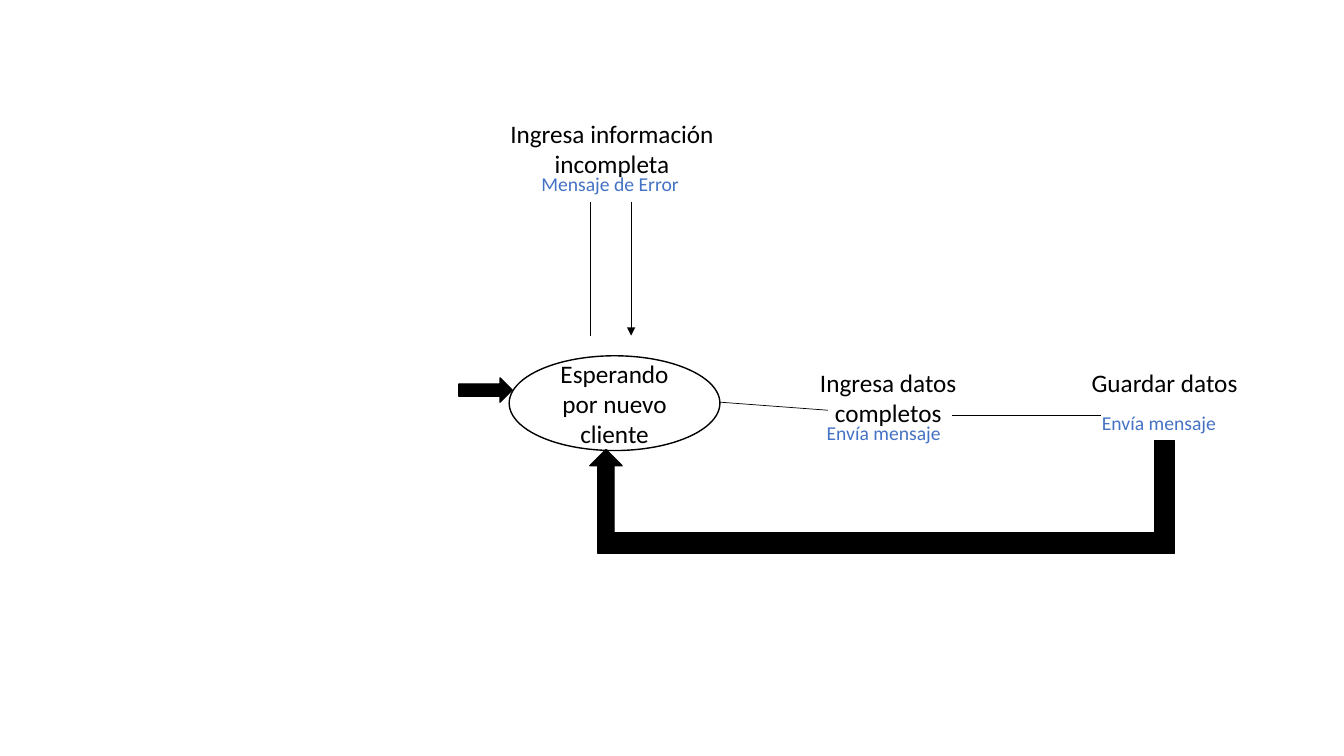
from lxml.etree import SubElement
from pptx import Presentation
from pptx.dml.color import RGBColor
from pptx.enum.shapes import MSO_CONNECTOR, MSO_SHAPE
from pptx.enum.text import MSO_ANCHOR, MSO_AUTO_SIZE, PP_ALIGN
from pptx.oxml.ns import qn
from pptx.util import Emu, Pt

SCALE = 9144  # EMU per px, 100 px to the inch
FONT = "Calibri"
COLORS = {"ink": "000000", "paper": "FFFFFF", "note": "4472C4"}


def px(*values):
    return [Emu(value * SCALE) for value in values]


def color(name):
    return RGBColor.from_string(COLORS[name])


class Diagram:
    def __init__(self, slide):
        self.slide = slide

    def fill_text(self, shape, text, size, tint, align):
        frame = shape.text_frame
        frame.text = text
        para = frame.paragraphs[0]
        para.alignment = align
        font = para.runs[0].font
        font.name, font.size = FONT, Pt(size)
        font.color.rgb = color(tint)

    def shape(self, kind, *box, fill="ink"):
        shape = self.slide.shapes.add_shape(kind, *px(*box))
        shape.shadow.inherit = False
        shape.fill.solid()
        shape.fill.fore_color.rgb = color(fill)
        shape.line.color.rgb = color("ink")
        shape.line.width = Pt(1)
        return shape

    def state(self, text, *box):
        oval = self.shape(MSO_SHAPE.OVAL, *box, fill="paper")
        oval.text_frame.word_wrap = True
        oval.text_frame.vertical_anchor = MSO_ANCHOR.MIDDLE
        self.fill_text(oval, text, 18, "ink", PP_ALIGN.CENTER)

    def label(self, text, *box, note=False):
        """Add a wrapped, centred step name, or a one-line note."""
        label = self.slide.shapes.add_textbox(*px(*box))
        label.text_frame.word_wrap = not note
        label.text_frame.auto_size = MSO_AUTO_SIZE.SHAPE_TO_FIT_TEXT
        if note:
            self.fill_text(label, text, 14, "note", PP_ALIGN.LEFT)
        else:
            self.fill_text(label, text, 18, "ink", PP_ALIGN.CENTER)

    def line(self, *ends, arrow=False):
        line = self.slide.shapes.add_connector(MSO_CONNECTOR.STRAIGHT, *px(*ends))
        line.line.color.rgb = color("ink")
        line.line.width = Pt(0.5)
        props = line._element.spPr
        if arrow:
            SubElement(props.find(qn("a:ln")), qn("a:tailEnd"), type="triangle")
        SubElement(props, qn("a:effectLst"))


def main():
    deck = Presentation()
    deck.slide_width, deck.slide_height = px(1333, 750)
    flow = Diagram(deck.slides.add_slide(deck.slide_layouts[6]))

    # Start and error loop
    flow.shape(MSO_SHAPE.RIGHT_ARROW, 455, 375, 53, 24)
    flow.label("Ingresa información incompleta", 492, 112, 230, 71)
    flow.label("Mensaje de Error", 527, 166, 158, 34, note=True)
    flow.line(626, 200, 626, 333, arrow=True)
    flow.line(586, 333, 586, 200)
    flow.state("Esperando por nuevo cliente", 505, 353, 209, 94)

    # Saving the data
    flow.line(714, 399, 821, 407)
    flow.label("Envía mensaje", 810, 413, 143, 34, note=True)
    flow.label("Ingresa datos completos", 766, 359, 230, 71)
    flow.line(944, 412, 1092, 412)
    flow.label("Guardar datos", 1040, 359, 230, 40)
    flow.label("Envía mensaje", 1083, 403, 143, 34, note=True)

    # Way back to the waiting state
    flow.shape(MSO_SHAPE.RECTANGLE, 1145, 437, 20, 112)
    flow.shape(MSO_SHAPE.RECTANGLE, 593, 528, 552, 21)
    flow.shape(MSO_SHAPE.UP_ARROW, 585, 446, 32, 102)

    deck.save("out.pptx")


if __name__ == "__main__":
    main()
